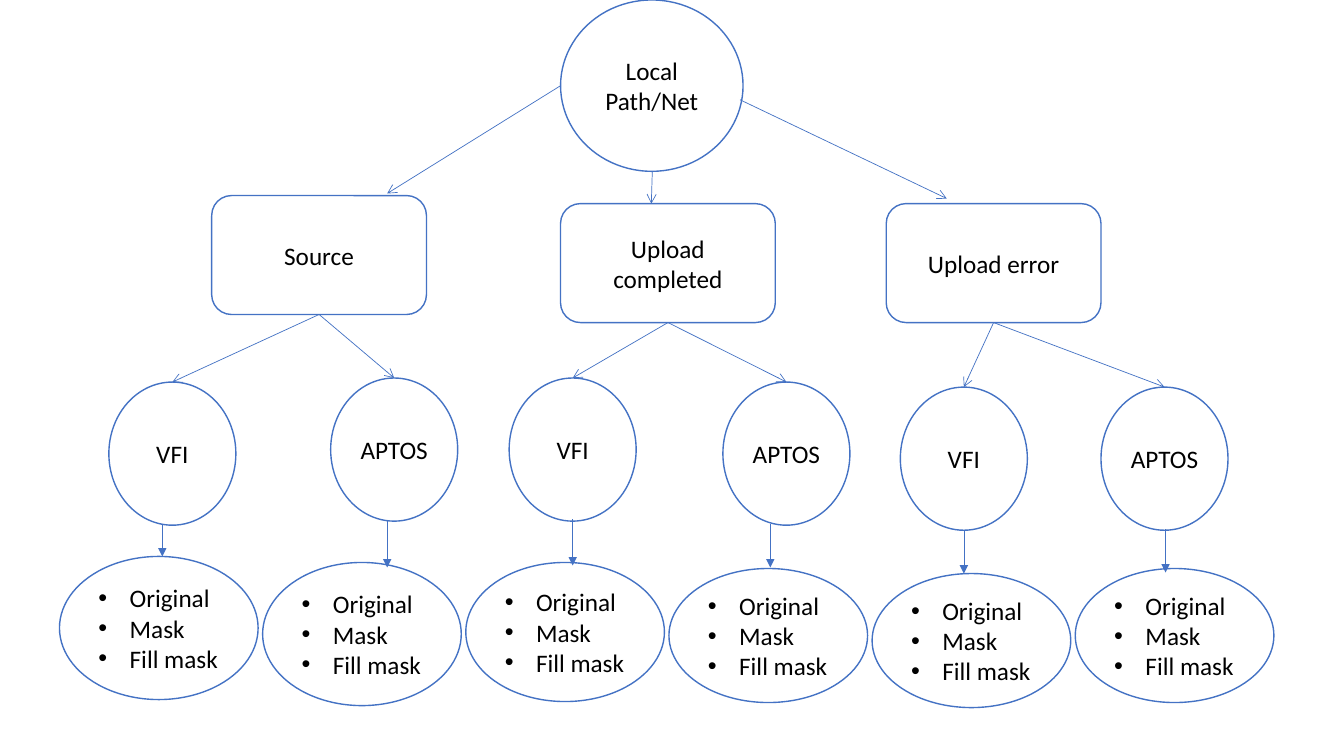
from lxml import etree
from pptx import Presentation
from pptx.dml.color import RGBColor
from pptx.enum.shapes import MSO_CONNECTOR, MSO_SHAPE
from pptx.enum.text import MSO_ANCHOR, PP_ALIGN
from pptx.oxml.ns import qn
from pptx.util import Inches, Pt

OVAL, BOX = MSO_SHAPE.OVAL, MSO_SHAPE.ROUNDED_RECTANGLE
STRAIGHT = MSO_CONNECTOR.STRAIGHT
MIDDLE, CENTER, LEFT = MSO_ANCHOR.MIDDLE, PP_ALIGN.CENTER, PP_ALIGN.LEFT
BLUE, WHITE, BLACK = (RGBColor.from_string(h) for h in ("4472C4", "FFFFFF", "000000"))
CELL = Inches(0.1)
INDENT = Inches(0.31)
BOX_W, BOX_H = 21.3, 11.8
NODE_W, NODE_H = 12.6, 14.2
LIST_W, LIST_PITCH = 19.7, 20.15
ITEMS = ["Original", "Mask", "Fill mask"]

prs = Presentation()
prs.slide_width, prs.slide_height = Inches(13.33), Inches(7.5)
s = prs.slides.add_slide(prs.slide_layouts[6])


def add_node(kind, x, y, w, h, lines, bullets=False):
    sp = s.shapes.add_shape(kind, *(round(v * CELL) for v in (x, y, w, h)))
    sp.shadow.inherit = False
    sp.fill.solid()
    sp.fill.fore_color.rgb = WHITE
    sp.line.color.rgb = BLUE
    sp.line.width = Pt(1)
    tf = sp.text_frame
    tf.word_wrap = True
    tf.vertical_anchor = MIDDLE
    for i, text in enumerate(lines):
        p = tf.add_paragraph() if i else tf.paragraphs[0]
        p.alignment = LEFT if bullets else CENTER
        if bullets:
            pPr = p._p.get_or_add_pPr()
            pPr.set("marL", str(INDENT))
            pPr.set("indent", str(-INDENT))
            etree.SubElement(pPr, qn("a:buFont"), typeface="Arial")
            etree.SubElement(pPr, qn("a:buChar"), char="•")
        r = p.add_run()
        r.text = text
        r.font.name = "Calibri"
        r.font.size = Pt(18)
        r.font.color.rgb = BLACK


def add_arrow(x1, y1, x2, y2, head):
    c = s.shapes.add_connector(STRAIGHT, *(round(v * CELL) for v in (x1, y1, x2, y2)))
    c.line.color.rgb = BLUE
    c.line.width = Pt(0.5)
    etree.SubElement(c.line._get_or_add_ln(), qn("a:tailEnd"), type=head)
    etree.SubElement(c._element.spPr, qn("a:effectLst"))


add_node(OVAL, 55.6, 0, 18.1, 17, ["Local Path/Net"])

branches = [
    ("Source", 21, 19.4, (55.6, 8.5, 38.4, 19.2)),
    ("Upload completed", 55.6, 20.2, (64.7, 17, 64.6, 20.2)),
    ("Upload error", 87.9, 20.2, (73.4, 9.9, 93.9, 19.7)),
]
leaves = [
    (10.8, 37.9, 55.2, 14.2, 16.1, 52.1, 55.2),
    (32.8, 37.5, 55.8, 14.2, 38.4, 51.6, 56.3),
    (50.5, 37.5, 55.8, 13.8, 56.8, 51.5, 56.1),
    (71.7, 37.9, 56.4, 13.3, 76.4, 52, 56.3),
    (89.3, 38.4, 56.9, 13.3, 95.6, 52.6, 56.9),
    (109.2, 38.4, 56.4, 13.3, 115.6, 52.5, 56.8),
]

for name, x, y, link in branches:
    add_node(BOX, x, y, BOX_W, BOX_H, [name])
    add_arrow(*link, "arrow")

for i, (x, y, list_y, list_h, arrow_x, start, end) in enumerate(leaves):
    box_x, box_y = branches[i // 2][1:3]
    add_node(OVAL, x, y, NODE_W, NODE_H, [("VFI", "APTOS")[i % 2]])
    add_node(OVAL, 5.9 + i * LIST_PITCH, list_y, LIST_W, list_h, ITEMS, bullets=True)
    add_arrow(box_x + BOX_W / 2, box_y + BOX_H, x + NODE_W / 2, y, "arrow")
    add_arrow(arrow_x, start, arrow_x, end, "triangle")

prs.save("out.pptx")
